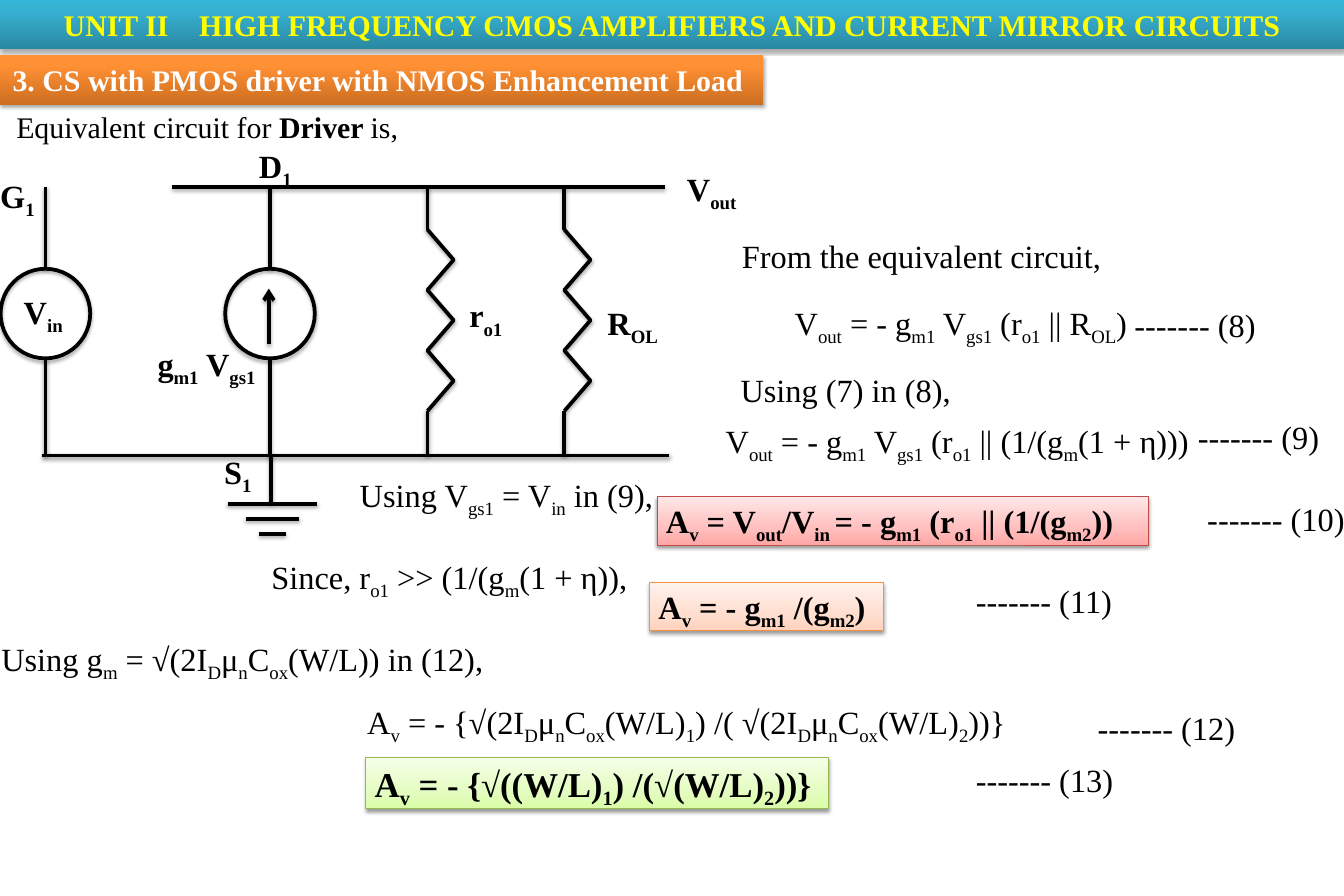
from lxml.etree import SubElement
from pptx import Presentation
from pptx.dml.color import RGBColor
from pptx.enum.shapes import MSO_CONNECTOR, MSO_SHAPE
from pptx.enum.text import MSO_ANCHOR, MSO_AUTO_SIZE, PP_ALIGN
from pptx.oxml.ns import qn
from pptx.util import Pt

BLACK = RGBColor(0, 0, 0)
WHITE = RGBColor(255, 255, 255)
YELLOW = RGBColor(255, 255, 0)
RED_EDGE = RGBColor(0xBF, 0x4C, 0x48)
PEACH_EDGE = RGBColor(0xF6, 0x92, 0x40)
GREEN_EDGE = RGBColor(0x98, 0xB9, 0x55)
TEAL = ((0, RGBColor(0x2A, 0x88, 0xA2)), (80, RGBColor(0x37, 0xB1, 0xD2)), (100, RGBColor(0x34, 0xB4, 0xD6)))
ORANGE = ((0, RGBColor(0xCC, 0x6E, 0x20)), (80, RGBColor(0xFF, 0x90, 0x34)), (100, RGBColor(0xFF, 0x91, 0x36)))
RED = ((0, RGBColor(0xFF, 0xA6, 0xA5)), (35, RGBColor(0xFF, 0xC0, 0xBF)), (100, RGBColor(0xFF, 0xE7, 0xE7)))
PEACH = ((0, RGBColor(0xFF, 0xD2, 0xBD)), (35, RGBColor(0xFF, 0xDE, 0xD0)), (100, RGBColor(0xFF, 0xF2, 0xED)))
GREEN = ((0, RGBColor(0xDA, 0xFD, 0xA7)), (35, RGBColor(0xE4, 0xFC, 0xC2)), (100, RGBColor(0xF5, 0xFF, 0xE7)))
SLIM, WIDE = (7.2, 3.6), (10.08, 5.04)


def points(*nums):
    """Turn numbers into lengths in points."""
    return [Pt(num) for num in nums]


def shade(shape, alpha=35):
    """Give a shape its soft shadow below."""
    fx = SubElement(shape._element.spPr, qn("a:effectLst"))
    drop = SubElement(fx, qn("a:outerShdw"), blurRad=str(Pt(3.1)), dist=str(Pt(1.8)),
                      dir="5400000", rotWithShape="0")
    tint = SubElement(drop, qn("a:srgbClr"), val=str(BLACK))
    SubElement(tint, qn("a:alpha"), val=str(alpha * 1000))


def blend(shape, stops):
    """Fill a shape with a gradient that rises from its foot."""
    shape.fill.gradient()
    shape.fill.gradient_angle = 90
    ramp = shape._element.spPr.find(qn("a:gradFill")).find(qn("a:gsLst"))
    for stop in list(ramp):
        ramp.remove(stop)
    for place, color in stops:
        stop = SubElement(ramp, qn("a:gs"), pos=str(place * 1000))
        SubElement(stop, qn("a:srgbClr"), val=str(color))


def write(shape, text, size=26, color=BLACK, bold=False, pad=SLIM,
          align=PP_ALIGN.LEFT, wrap=False, tab=None):
    """Write text in which [x] is a subscript and *x* is bold."""
    frame = shape.text_frame
    frame.word_wrap = wrap
    frame.auto_size = MSO_AUTO_SIZE.NONE
    frame.vertical_anchor = MSO_ANCHOR.TOP
    frame.margin_left = frame.margin_right = Pt(pad[0])
    frame.margin_top = frame.margin_bottom = Pt(pad[1])
    para = frame.paragraphs[0]
    para.alignment = align
    if tab:
        tabs = SubElement(para._p.get_or_add_pPr(), qn("a:tabLst"))
        SubElement(tabs, qn("a:tab"), pos=str(Pt(tab)), algn="l")
    for i, part in enumerate(text.split("*")):
        for j, piece in enumerate(part.replace("]", "[").split("[")):
            if not piece:
                continue
            run = para.add_run()
            run.text = piece
            font = run.font
            font.name, font.size = "Times New Roman", Pt(size)
            font.bold = bold or i % 2 == 1
            font.color.rgb = color
            if j % 2:
                font._element.set("baseline", "-25000")


def label(shapes, text, x, y, wide, high=39, **style):
    """Add a text box."""
    write(shapes.add_textbox(*points(x, y, wide, high)), text, **style)


def panel(shapes, text, box, stops, edge=None, alpha=35, **style):
    """Add a gradient bar or frame with text."""
    shape = shapes.add_shape(MSO_SHAPE.RECTANGLE, *points(*box))
    blend(shape, stops)
    if edge:
        shape.line.color.rgb, shape.line.width = edge, Pt(0.75)
    else:
        shape.line.fill.background()
    shade(shape, alpha)
    write(shape, text, wrap=True, **style)


def ink(shape):
    """Draw an outline in thick black with a shadow."""
    shape.line.color.rgb, shape.line.width = BLACK, Pt(3)
    shade(shape)


def wire(shapes, x, y, to_x, to_y, arrow=False):
    """Add a straight wire."""
    line = shapes.add_connector(MSO_CONNECTOR.STRAIGHT, *points(x, y, to_x, to_y))
    ink(line)
    if arrow:
        SubElement(line.line._get_or_add_ln(), qn("a:tailEnd"), type="arrow")


def source(shapes, x, y, rail, foot):
    """Draw a round source between two rails, centred on x."""
    ring = shapes.add_shape(MSO_SHAPE.OVAL, *points(x - 36, y, 72, 72))
    ring.fill.background()
    ink(ring)
    wire(shapes, x, rail, x, y)
    wire(shapes, x, y + 72, x, foot)


def resist(shapes, x, y, foot):
    """Draw a zigzag resistor between two rails."""
    top, step = y + 34.5, 24.3
    zigzag = shapes.build_freeform(*points(x, top))
    zigzag.add_line_segments(
        [points(x + 21 * (i % 2), top + step * i) for i in range(1, 7)], close=False)
    shape = zigzag.convert_to_shape()
    shape.fill.background()
    ink(shape)
    wire(shapes, x, y, x, top)
    wire(shapes, x, top + 6 * step, x, foot)


def header(slide, x, y, wide):
    """Place the title banner, the heading and the opening line."""
    title = slide.shapes.title
    title.left, title.top, title.width, title.height = points(x, y, wide, 39.6)
    blend(title, TEAL)
    shade(title)
    write(title, "UNIT II\t HIGH FREQUENCY CMOS AMPLIFIERS AND CURRENT MIRROR CIRCUITS",
          size=24, color=YELLOW, bold=True, pad=WIDE, align=PP_ALIGN.CENTER, wrap=True, tab=102.85)
    panel(slide.shapes, "3. CS with PMOS driver with NMOS Enhancement Load",
          (x, y + 44.6, 613.5, 39.6), ORANGE, size=24, color=WHITE, bold=True, pad=WIDE)
    label(slide.shapes, "Equivalent circuit for *Driver *is,", x + 6, y + 84, 330, 36, size=24)


def circuit(slide, x, y):
    """Draw the equivalent circuit, with its top rail at y."""
    shapes = slide.shapes.add_group_shape().shapes
    foot, mid = y + 216, x + 217
    wire(shapes, x + 138, y, x + 534, y)
    wire(shapes, x + 34, foot, x + 538, foot)
    for place in (x + 36.5, mid):
        source(shapes, place, y + 66, y, foot)
    wire(shapes, mid - 1, y + 126.5, mid - 1, y + 82, arrow=True)
    for place in (x + 343.5, x + 453.5):
        resist(shapes, place, y, foot)
    wire(shapes, mid + 1, foot, mid + 1, y + 254)
    for half, drop in ((36, 255), (21.6, 267), (10.8, 279)):
        wire(shapes, mid + 2 - half, y + drop, mid + 2 + half, y + drop)
    for text, left, top, wide in (
            ("D[1]", 201, -36, 42.5), ("g[m1] V[gs1]", 119.5, 123, 100),
            ("r[o1]", 370, 84, 43), ("S[1]", 173, 210, 38), ("V[in]", 12, 81, 47),
            ("G[1]", -7, -12, 44), ("V[out]", 545, -18, 55.5), ("R[OL]", 481, 90, 59)):
        label(shapes, text, x + left, y + top, wide, bold=True)


def derive(slide, x, y):
    """Place the steps, the equation numbers and the framed results."""
    shapes = slide.shapes
    for text, left, top, wide in (
            ("From the equivalent circuit,", 589, 0, 314),
            ("V[out] = - g[m1] V[gs1] (r[o1] || R[OL])", 631.5, 54, 295),
            ("Using (7) in (8),", 588, 108, 191.5),
            ("V[out] = - g[m1] V[gs1] (r[o1] || (1/(g[m](1 + η)))", 576, 149, 400),
            ("Using V[gs1] = V[in] in (9),", 282, 192, 262),
            ("Since, r[o1] >> (1/(g[m](1 + η)),", 211, 258, 309),
            ("Using g[m] = √(2I[D]μ[n]C[ox](W/L)) in (12),", -6, 324, 418),
            ("A[v] = - {√(2I[D]μ[n]C[ox](W/L)[1]) /( √(2I[D]μ[n]C[ox](W/L)[2]))}", 288, 375, 559)):
        label(shapes, text, x + left, y + top, wide)
    marks = ((901.5, 54, 119), (952.5, 144, 119), (960, 210, 132),
             (774, 276, 131), (872, 378, 132), (774, 420, 132))
    for num, (left, top, wide) in enumerate(marks, 8):
        label(shapes, f"------- ({num})", x + left, y + top, wide, 42, pad=WIDE)
    for text, left, top, wide, high, size, stops, edge in (
            ("A[v] = V[out]/V[in ]= - g[m1] (r[o1] || (1/(g[m2]))", 528, 213, 395, 39, 26, RED, RED_EDGE),
            ("A[v] = - g[m1] /(g[m2])", 522, 282, 188, 39, 26, PEACH, PEACH_EDGE),
            ("A[v] = - {√((W/L)[1]) /(√(W/L)[2]))}", 294, 423, 371.5, 41, 28, GREEN, GREEN_EDGE)):
        panel(shapes, text, (x + left, y + top, wide, high), stops, edge, 38, size=size, bold=True)


def main():
    """Build the slide and save it."""
    deck = Presentation()
    deck.slide_width, deck.slide_height = points(1080, 720)
    slide = deck.slides.add_slide(deck.slide_layouts[5])
    header(slide, 0, 0, 1080)
    circuit(slide, 0, 150)
    derive(slide, 0, 186)
    deck.save("out.pptx")


if __name__ == "__main__":
    main()
